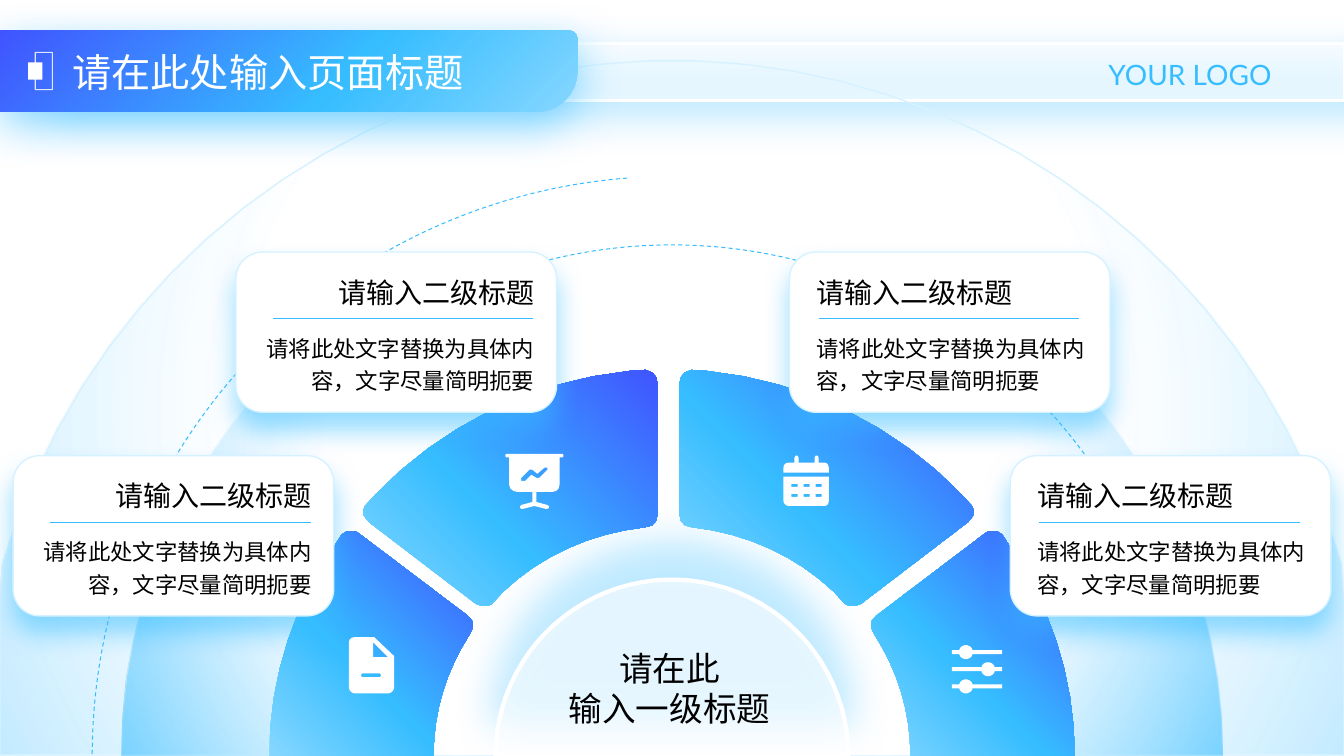
from math import cos, dist, pi, radians, sin

from lxml import etree
from pptx import Presentation
from pptx.dml.color import RGBColor
from pptx.enum.dml import MSO_LINE
from pptx.enum.shapes import MSO_CONNECTOR, MSO_SHAPE
from pptx.enum.text import MSO_ANCHOR, PP_ALIGN
from pptx.oxml.ns import qn
from pptx.util import Inches, Pt

RECT, ROUND, ARC = MSO_SHAPE.RECTANGLE, MSO_SHAPE.ROUNDED_RECTANGLE, MSO_SHAPE.ARC
STRAIGHT, DASH = MSO_CONNECTOR.STRAIGHT, MSO_LINE.DASH
LEFT, RIGHT, MID = PP_ALIGN.LEFT, PP_ALIGN.RIGHT, PP_ALIGN.CENTER
TOP, CENTRE = MSO_ANCHOR.TOP, MSO_ANCHOR.MIDDLE

HUE = {"white": "FFFFFF", "black": "000000", "pale": "D7F2FF",
       "light": "86D7FF", "sky": "36BDFF", "deep": "4054FF"}
BLEND = [(0, "light", 100), (41, "sky", 100), (100, "deep", 100)]
WIDE, HIGH = 13.33, 7.5
MIDX = WIDE / 2

# Outlines in hundredths of an inch; six numbers make a Bezier curve.
UPPER = [(281, 0), (289, 1, 293, 7, 293, 13), (293, 144),
         (293, 150, 289, 156, 281, 156), (226, 162, 177, 185, 140, 220),
         (128, 233), (123, 235, 116, 234, 113, 232), (7, 151),
         (-1, 145, 1, 138, 3, 135), (13, 124), (77, 57, 166, 11, 266, 1)]
LOWER = [(80, 0), (84, 0, 87, 0, 90, 3), (197, 84),
         (203, 88, 204, 96, 199, 102), (176, 138, 163, 178, 163, 223),
         (0, 223), (0, 143, 26, 70, 69, 8), (71, 2, 77, 0, 80, 0)]


def pill(x, y, w, h):
    r = min(w, h) / 2
    count = 8 if r < 3 else 16
    turns = [2 * pi * (i + 0.5) / count for i in range(count)]
    return [((x + r if cos(t) < 0 else x + w - r) + r * cos(t),
             (y + r if sin(t) < 0 else y + h - r) + r * sin(t)) for t in turns]


def slot(x, y, w, h):
    return [(x, y), (x + w, y), (x + w, y + h), (x, y + h)]


PAPER = [[(25, 0), (45, 19), (45, 50), (45, 53, 42, 56, 39, 56), (6, 56),
          (3, 56, 0, 53, 0, 50), (0, 5), (0, 2, 3, 0, 6, 0)],
         [(24, 5), (24, 20), (39, 20)], pill(12, 36, 20, 4)]
BOARD = [pill(0, 0, 58, 4),
         [(4, 4), (54, 4), (54, 31), (54, 35, 51, 38, 47, 38), (12, 38),
          (8, 38, 4, 35, 4, 31)],
         [(27, 38), (31, 38), (31, 48), (42, 51), (45, 52, 44, 55, 41, 55),
          (29, 52), (17, 55), (14, 55, 14, 52, 16, 51), (27, 48)],
         [(39, 14), (32, 20), (27, 16), (24, 16), (16, 24), (16, 27),
          (20, 27), (26, 21), (31, 24), (34, 24), (42, 16), (42, 14)]]
DATES = [[(0, 17), (0, 12), (0, 9, 2, 7, 5, 7), (11, 7), (11, 2),
          (11, -1, 15, -1, 15, 2), (15, 7), (31, 7), (31, 2),
          (31, -1, 35, -1, 35, 2), (35, 7), (41, 7), (43, 7, 45, 9, 45, 12),
          (45, 17)],
         [(0, 21), (45, 21), (45, 45), (45, 47, 44, 50, 41, 50), (5, 50),
          (2, 50, 0, 47, 0, 45)],
         *[slot(8 + 12 * c, 28 + 10 * r, 6, 3) for r in range(2) for c in range(3)]]
KNOBS = [part for x, y in ((14, 7), (36, 24), (14, 41))
         for part in (slot(0, y - 2, x - 7, 4), pill(x - 7, y - 7, 14, 14),
                      slot(x + 7, y - 2, 43 - x, 4))]


def rgb(name):
    return RGBColor.from_string(HUE[name])


def node(parent, tag, **values):
    return etree.SubElement(parent, qn("a:" + tag), {k: str(v) for k, v in values.items()})


def fade(part, share):
    if share < 100:
        node(part.find(".//" + qn("a:srgbClr")), "alpha", val=share * 1000)


def blend(shape, stops, turn):
    """Gradient at an angle in degrees, or from the centre when turn is None."""
    shape.fill.gradient()
    grad = shape._element.spPr.find(qn("a:gradFill"))
    for child in list(grad):
        grad.remove(child)
    row = node(grad, "gsLst")
    for place, name, share in stops:
        stop = node(row, "gs", pos=place * 1000)
        node(stop, "srgbClr", val=HUE[name])
        fade(stop, share)
    if turn is None:
        node(node(grad, "path", path="circle"), "fillToRect",
             l=50000, t=50000, r=50000, b=50000)
    else:
        node(grad, "lin", ang=turn * 60000, scaled=0)


def style(shape, fill=None, share=100, turn=None, line=None, width=1, clear=100, shade=None):
    """Shade is colour, opacity, blur, distance and direction."""
    props = shape._element.spPr
    shape.shadow.inherit = False
    if isinstance(fill, list):
        blend(shape, fill, turn)
    elif fill:
        shape.fill.solid()
        shape.fill.fore_color.rgb = rgb(fill)
        fade(props.find(qn("a:solidFill")), share)
    else:
        shape.fill.background()
    if line:
        shape.line.color.rgb = rgb(line)
        shape.line.width = Pt(width)
        fade(props.find(qn("a:ln")), clear)
    else:
        shape.line.fill.background()
    if shade:
        name, dark, blur, far, way = shade
        glow = node(props.find(qn("a:effectLst")), "outerShdw", blurRad=Pt(blur),
                    dist=Pt(far), dir=way * 60000, rotWithShape=0)
        node(glow, "srgbClr", val=HUE[name])
        fade(glow, dark)
    return shape


def block(slide, kind, x, y, w, h, **look):
    return style(slide.shapes.add_shape(kind, *map(Inches, (x, y, w, h))), **look)


def trace(steps):
    """Turn lines and curves into points, more of them on longer curves."""
    dots = []
    for step in steps:
        if len(step) == 2:
            dots.append(step)
            continue
        a, b, c, d = dots[-1], step[:2], step[2:4], step[4:]
        count = 8 if dist(a, d) > 30 else 3
        for t in (i / count for i in range(1, count + 1)):
            u = 1 - t
            dots.append(tuple(u**3 * a[k] + 3 * u * u * t * b[k] + 3 * u * t * t * c[k]
                              + t**3 * d[k] for k in (0, 1)))
    return dots


def draw(slide, x, y, parts, flip=0, **look):
    """Place outlines at x, y; flip is the width to mirror within."""
    pen = None
    for part in parts:
        dots = [(Inches(x + (flip - px if flip else px) / 100), Inches(y + py / 100))
                for px, py in trace(part)]
        if pen is None:
            pen = slide.shapes.build_freeform(*dots[0], scale=1.0)
        else:
            pen.move_to(*dots[0])
        pen.add_line_segments(dots[1:], close=True)
    return style(pen.convert_to_shape(), **look)


def write(slide, text, x, y, w, h, size=16, color="black", align=LEFT, anchor=TOP, gap=None):
    frame = slide.shapes.add_textbox(*map(Inches, (x, y, w, h))).text_frame
    frame.word_wrap = True
    frame.vertical_anchor = anchor
    for i, words in enumerate(text.split("\n")):
        para = frame.paragraphs[0] if i == 0 else frame.add_paragraph()
        para.alignment, para.line_spacing = align, gap
        run = para.add_run()
        run.text = words
        run._r.get_or_add_rPr().set("lang", "zh-CN")
        run.font.name, run.font.size = "Lato", Pt(size)
        run.font.color.rgb = rgb(color)


def dome(slide, r, **look):
    """Half disc on the slide's foot, cut at its sides."""
    arc = [(MIDX - r * cos(radians(a)), HIGH - r * sin(radians(a)))
           for a in range(0, 181, 4)]
    dots = [(100 * min(max(x, 0), WIDE), 100 * y) for x, y in arc]
    draw(slide, 0, 0, [dots], **look)


def orbit(slide, r, start, end):
    ring = block(slide, ARC, MIDX - r, HIGH - r, 2 * r, 2 * r, line="sky", width=0.75)
    # Adjustments count 100000ths, angles 60000ths of a degree.
    ring.adjustments[0], ring.adjustments[1] = start * 0.6, end * 0.6
    ring.line.dash_style = DASH


def fan(slide):
    for r, share, edge in ((6.9, 30, "pale"), (5.46, 59, None)):
        dome(slide, r, fill=[(57, "light", 0), (100, "sky", share)], line=edge)
    orbit(slide, 5.75, 145.2, 265.8)
    dome(slide, 1.75, fill="white", share=59, line="white", width=3,
         shade=("sky", 53, 29, 25, 270))
    for x, y, part, flip in ((8.63, 5.27, LOWER, 203), (2.67, 5.27, LOWER, 0),
                             (3.59, 3.67, UPPER, 0), (6.74, 3.67, UPPER, 293)):
        draw(slide, x, y, [part], flip, fill=BLEND, turn=315)
    for x, y, icon in ((3.46, 6.32, PAPER), (9.44, 6.4, KNOBS),
                       (5.01, 4.5, BOARD), (7.77, 4.52, DATES)):
        draw(slide, x, y, icon, fill="white")
    orbit(slide, 5.07, 238.3, 342.5)
    write(slide, "请在此\n输入一级标题", 5.34, 6.38, 2.6, 0.91, size=24, align=MID)


def band(slide):
    block(slide, RECT, 0.19, 0.43, WIDE - 0.19, 0.57, fill="white", share=59,
          line="white", width=2, shade=("sky", 53, 29, 25, 20))
    write(slide, "YOUR LOGO", 10.77, 0.52, 1.94, 0.44, size=20, color="sky", align=RIGHT)


def header(slide, x, y):
    tab = [(0, 0), (564, 0), (569, 0, 573, 4, 573, 9), (573, 40),
           (573, 63, 555, 81, 533, 81), (0, 81)]
    draw(slide, x, y, [tab], fill=BLEND, turn=225, shade=("sky", 54, 31, 10, 90))
    write(slide, "请在此处输入页面标题", x + 0.62, y + 0.13, 5, 0.62, size=28,
          color="white", anchor=CENTRE, gap=0.9)
    block(slide, RECT, x + 0.35, y + 0.22, 0.17, 0.37, line="white", width=0.75, clear=84)
    block(slide, RECT, x + 0.28, y + 0.32, 0.14, 0.17, fill="white")


def card(slide, x, y, align):
    inset = 0.29 if align == RIGHT else 0
    block(slide, ROUND, x, y, 3.18, 1.59, fill="white", line="pale",
          shade=("sky", 53, 19, 12, 90))
    write(slide, "请输入二级标题", x + 0.17 + inset, y + 0.18, 2.6, 0.44, size=20, align=align)
    write(slide, "请将此处文字替换为具体内容，文字尽量简明扼要", x + 0.17, y + 0.72,
          2.89, 0.72, align=align, gap=1.2)
    start = x + (0.37 if inset else 0.29)
    rule = slide.shapes.add_connector(
        STRAIGHT, *map(Inches, (start, y + 0.66, start + 2.58, y + 0.66)))
    rule.line.color.rgb, rule.line.width = rgb("sky"), Pt(0.5)
    node(rule._element.spPr, "effectLst")


def main():
    deck = Presentation()
    deck.slide_width, deck.slide_height = Inches(WIDE), Inches(HIGH)
    slide = deck.slides.add_slide(deck.slide_layouts[6])
    band(slide)
    fan(slide)
    header(slide, 0, 0.3)
    for x, y, align in ((10.02, 4.52, LEFT), (7.83, 2.5, LEFT),
                        (2.34, 2.5, RIGHT), (0.13, 4.52, RIGHT)):
        card(slide, x, y, align)
    deck.save("out.pptx")


if __name__ == "__main__":
    main()
